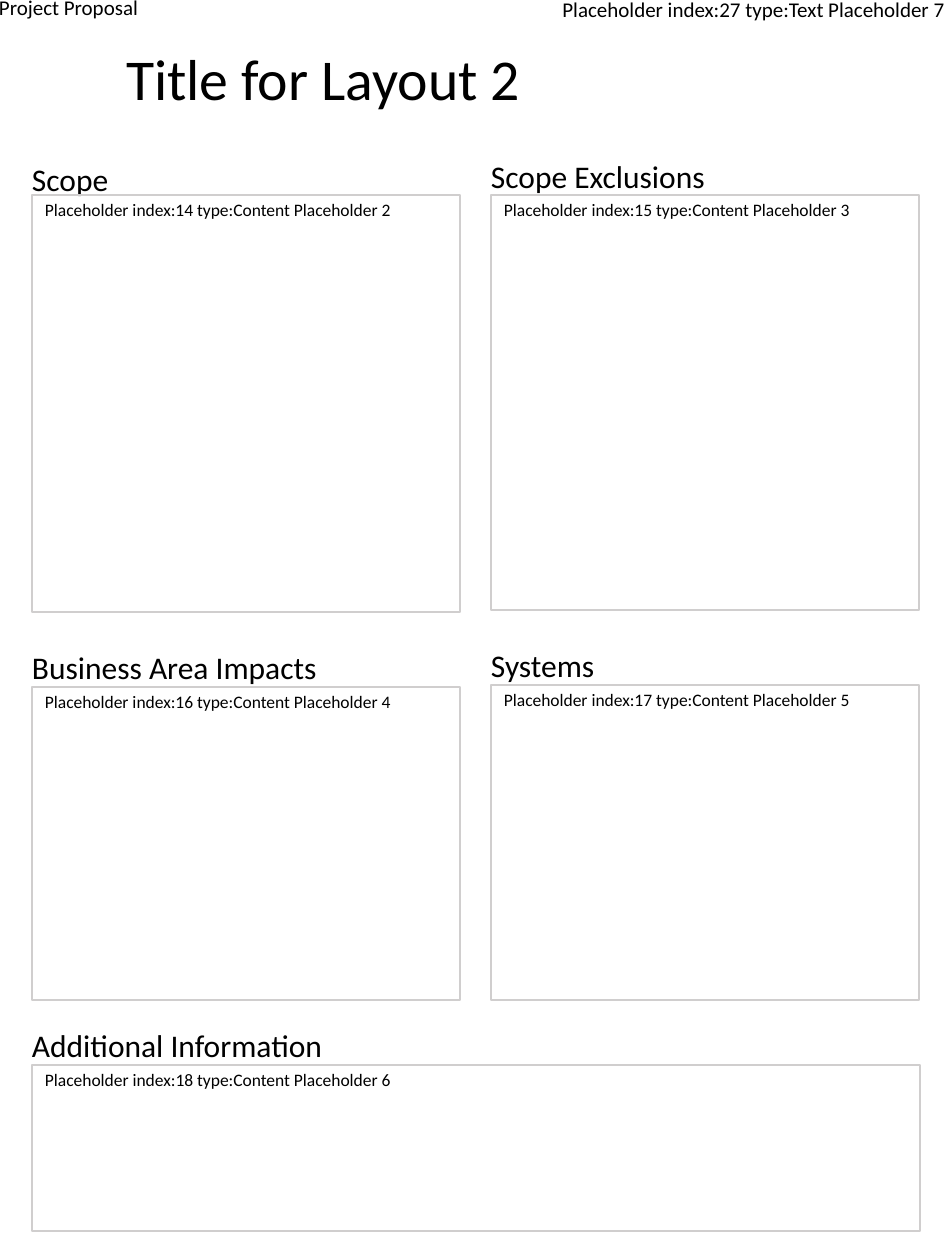
from dataclasses import dataclass
from pptx import Presentation
from pptx.dml.color import RGBColor
from pptx.enum.shapes import MSO_SHAPE as Shape
from pptx.enum.text import MSO_ANCHOR as Anchor, MSO_AUTO_SIZE as AutoSize, PP_ALIGN as Align
from pptx.util import Emu, Pt

PAGE = (945, 1260)
TITLE = ("Title for Layout 2", (126, 50, 788, 63))
DOCUMENT = ("Project Proposal", (-1, -5, 428, 25))
CORNER = ("Placeholder index:27 type:Text Placeholder 7", (520, 0, 425, 21))

LEFT, RIGHT = 32, 491
HALF, FULL = 428, 888
HEADING_HEIGHT = 38
PANEL_INSET = (13, 6)
SECTIONS = [
    ("Scope", "Placeholder index:14 type:Content Placeholder 2", LEFT, HALF, 160, 195, 417),
    ("Scope Exclusions", "Placeholder index:15 type:Content Placeholder 3", RIGHT, HALF, 157, 195, 415),
    ("Business Area Impacts", "Placeholder index:16 type:Content Placeholder 4", LEFT, HALF, 648, 687, 313),
    ("Systems", "Placeholder index:17 type:Content Placeholder 5", RIGHT, HALF, 646, 685, 315),
    ("Additional Information", "Placeholder index:18 type:Content Placeholder 6", LEFT, FULL, 1026, 1065, 166),
]


@dataclass(frozen=True)
class Theme:
    font: str = "Calibri"
    ink: RGBColor = RGBColor(0, 0, 0)
    border: RGBColor = RGBColor(0xD0, 0xCE, 0xCE)
    title: int = 33
    heading: int = 18
    header: int = 12
    body: int = 10
    line: float = 0.75
    leading: float = 0.9
    space: float = 7.5


THEME = Theme()


def px(length):
    return Emu(round(length * 914400 / 126))


def write(box, text, size, align=Align.LEFT, anchor=Anchor.TOP, inset=(0, 0),
          leading=None, space=None, wrap=True):
    frame = box.text_frame
    frame.auto_size = AutoSize.NONE
    frame.word_wrap = wrap
    frame.vertical_anchor = anchor
    frame.margin_left = frame.margin_right = px(inset[0])
    frame.margin_top = frame.margin_bottom = px(inset[1])
    para = frame.paragraphs[0]
    para.alignment = align
    para.line_spacing = leading
    if space is not None:
        para.space_before = Pt(space)
    span = para.add_run()
    span.text = text
    span.font.name = THEME.font
    span.font.size = Pt(size)
    span.font.color.rgb = THEME.ink


def add_label(page, text, place, size, **style):
    box = page.shapes.add_textbox(*map(px, place))
    write(box, text, size, **style)


def add_panel(page, text, place):
    panel = page.shapes.add_shape(Shape.RECTANGLE, *map(px, place))
    panel.shadow.inherit = False
    panel.fill.background()
    panel.line.color.rgb = THEME.border
    panel.line.width = Pt(THEME.line)
    write(panel, text, THEME.body, inset=PANEL_INSET,
          leading=THEME.leading, space=THEME.space)


def place_title(page):
    text, place = TITLE
    title = page.shapes.title
    title.left, title.top, title.width, title.height = map(px, place)
    write(title, text, THEME.title, anchor=Anchor.MIDDLE, leading=THEME.leading)


def main():
    deck = Presentation()
    deck.slide_width, deck.slide_height = map(px, PAGE)
    page = deck.slides.add_slide(deck.slide_layouts.get_by_name("Title Only"))
    place_title(page)
    add_label(page, *DOCUMENT, THEME.header)
    for heading, body, left, width, heading_top, panel_top, panel_height in SECTIONS:
        add_label(page, heading, (left, heading_top, width, HEADING_HEIGHT),
                  THEME.heading, wrap=left == LEFT)
        add_panel(page, body, (left, panel_top, width, panel_height))
    add_label(page, *CORNER, THEME.header, align=Align.RIGHT, anchor=Anchor.MIDDLE,
              leading=THEME.leading, space=THEME.space)
    deck.save("out.pptx")


if __name__ == "__main__":
    main()
